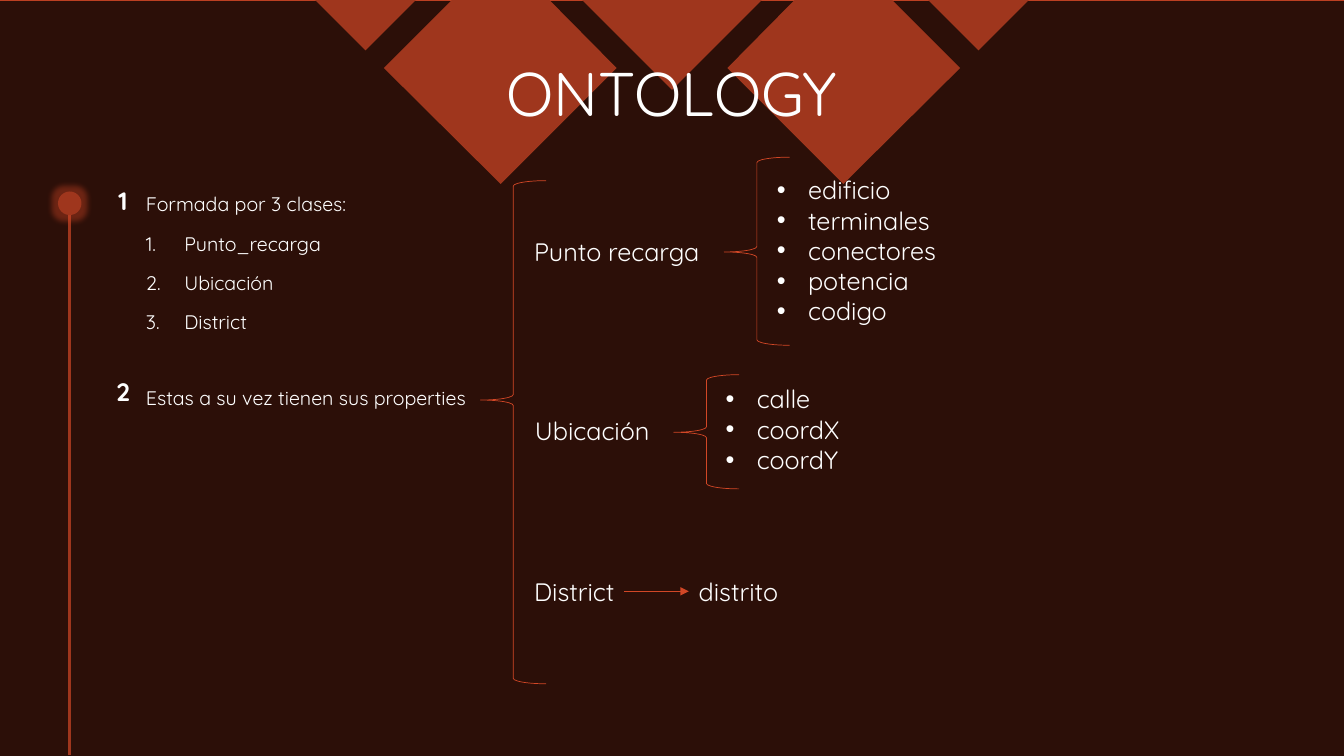
"""Build the ontology slide: three classes and their properties linked by braces."""
from dataclasses import dataclass

from lxml import etree
from pptx import Presentation
from pptx import util as u
from pptx.dml.color import RGBColor
from pptx.enum import shapes, text
from pptx.oxml import ns

COLUMNS, ROWS = 160, 90


@dataclass(frozen=True)
class Theme:
    font: str = "Quicksand"
    bullet_font: str = "Arial"
    background: str = "D24726"
    overlay: str = "000000"
    overlay_alpha: int = 79
    accent: str = "9F361D"
    line: str = "D24726"
    text: str = "FFFFFF"
    title_size: int = 44
    label_size: int = 18
    body_size: int = 14
    thin_line: float = 0.5
    thick_line: float = 2.25
    glow_radius: int = 8
    glow_alpha: int = 40


@dataclass(frozen=True)
class Box:
    left: float
    top: float
    width: float
    height: float


@dataclass(frozen=True)
class Brace:
    box: Box
    point: float


@dataclass(frozen=True)
class Label:
    content: str
    box: Box
    bold: bool = False
    wrap: bool = True


@dataclass(frozen=True)
class PropertyList:
    box: Box
    names: tuple[str, ...]


THEME = Theme()
CENTRE_TRIANGLE = [(69.3, 0), (90.7, 0), (80, 10.7)]
RIGHT_POLYGONS = [
    [(94.6, 0), (106.2, 0), (114.3, 8.1), (100.4, 21.9), (86.6, 8.1)],
    [(110.5, 0), (122.5, 0), (116.5, 6)],
]
STEP_NUMBERS = [
    Label("1", Box(11, 21.5, 7.3, 4.8), bold=True),
    Label("2", Box(11, 44.2, 7.3, 4.8), bold=True),
]
CLASS_LABELS = [
    Label("Punto recarga", Box(62.4, 27.5, 23.6, 4.8), wrap=False),
    Label("Ubicación", Box(62.5, 48.8, 19.9, 4.8)),
    Label("District", Box(62.4, 68, 20.8, 4.8)),
]
DISTRICT_PROPERTY = Label("distrito", Box(82, 68, 18.6, 4.8))
PROPERTY_LISTS = [
    PropertyList(Box(91.3, 20.2, 23, 19.4),
                 ("edificio", "terminales", "conectores", "potencia", "codigo")),
    PropertyList(Box(85.2, 45.1, 18.8, 12.1), ("calle", "coordX", "coordY")),
]
BRACES = [
    Brace(Box(57.2, 21.5, 7.8, 59.9), 0.564),
    Brace(Box(86.2, 18.7, 7.8, 22.4), 0.496),
    Brace(Box(80.2, 44.6, 7.8, 13.6), 0.496),
]

presentation = Presentation()
presentation.slide_width = u.Inches(13.33)
presentation.slide_height = u.Inches(7.5)
slide = presentation.slides.add_slide(presentation.slide_layouts[6])


def x(columns: float) -> int:
    return round(presentation.slide_width * columns / COLUMNS)


def y(rows: float) -> int:
    return round(presentation.slide_height * rows / ROWS)


def place(box: Box) -> tuple[int, int, int, int]:
    return x(box.left), y(box.top), x(box.width), y(box.height)


def add_node(parent, tag: str, **attributes: str):
    return etree.SubElement(parent, ns.qn(tag), attributes)


def paint(shape, color: str) -> None:
    shape.shadow.inherit = False
    shape.fill.solid()
    shape.fill.fore_color.rgb = RGBColor.from_string(color)
    shape.line.fill.background()


def add_polygon(points: list[tuple[float, float]]) -> None:
    corners = [(x(column), y(row)) for column, row in points]
    builder = slide.shapes.build_freeform(*corners[0])
    builder.add_line_segments(corners[1:], close=True)
    paint(builder.convert_to_shape(), THEME.accent)


def add_line(start: tuple[float, float], end: tuple[float, float], color: str, width: float):
    connector = slide.shapes.add_connector(
        shapes.MSO_CONNECTOR.STRAIGHT, x(start[0]), y(start[1]), x(end[0]), y(end[1]))
    connector.line.color.rgb = RGBColor.from_string(color)
    connector.line.width = u.Pt(width)
    add_node(connector.element.spPr, "a:effectLst")
    return connector


def add_brace(brace: Brace) -> None:
    shape = slide.shapes.add_shape(shapes.MSO_SHAPE.RIGHT_BRACE, *place(brace.box))
    shape.shadow.inherit = False
    shape.rotation = 180
    shape.adjustments[0] = 0.083
    shape.adjustments[1] = brace.point
    shape.fill.background()
    shape.line.color.rgb = RGBColor.from_string(THEME.line)
    shape.line.width = u.Pt(THEME.thin_line)


def add_bullet(paragraph, kind: str, indent: float) -> None:
    properties = paragraph._p.get_or_add_pPr()
    properties.set("marL", str(u.Inches(indent)))
    properties.set("indent", str(-u.Inches(indent)))
    if kind == "number":
        add_node(properties, "a:buFont", typeface="+mj-lt")
        add_node(properties, "a:buAutoNum", type="arabicPeriod")
    else:
        add_node(properties, "a:buFont", typeface=THEME.bullet_font)
        add_node(properties, "a:buChar", char=kind)


def add_text(lines: tuple[str, ...], box: Box, *, size: int = THEME.label_size,
             bold: bool = False, wrap: bool = True, centred: bool = False,
             middle: bool = False, spacing: float | None = None, before: float = 0,
             after: float = 0, bullet: str = "", indent: float = 0, first_bullet: int = 0):
    shape = slide.shapes.add_textbox(*place(box))
    frame = shape.text_frame
    frame.word_wrap = wrap
    frame.vertical_anchor = text.MSO_ANCHOR.MIDDLE if middle else text.MSO_ANCHOR.TOP
    for index, line in enumerate(lines):
        paragraph = frame.add_paragraph() if index else frame.paragraphs[0]
        paragraph.alignment = text.PP_ALIGN.CENTER if centred else text.PP_ALIGN.LEFT
        paragraph.line_spacing = spacing
        paragraph.space_before = u.Pt(before)
        paragraph.space_after = u.Pt(after)
        if bullet and index >= first_bullet:
            add_bullet(paragraph, bullet, indent)
        run = paragraph.add_run()
        run.text = line
        run.font.name = THEME.font
        run.font.size = u.Pt(size)
        run.font.bold = bold
        run.font.color.rgb = RGBColor.from_string(THEME.text)
    return shape


def add_label(label: Label, centred: bool = False):
    return add_text((label.content,), label.box, bold=label.bold, wrap=label.wrap,
                    centred=centred)


def draw_backdrop() -> None:
    slide.background.fill.solid()
    slide.background.fill.fore_color.rgb = RGBColor.from_string(THEME.background)
    overlay = slide.shapes.add_shape(
        shapes.MSO_SHAPE.RECTANGLE, *place(Box(0, 0.1, COLUMNS, ROWS - 0.1)))
    paint(overlay, THEME.overlay)
    color = overlay.element.spPr.find(".//" + ns.qn("a:srgbClr"))
    add_node(color, "a:alpha", val=str(THEME.overlay_alpha * 1000))
    add_polygon(CENTRE_TRIANGLE)
    for points in RIGHT_POLYGONS:
        add_polygon(points)
        add_polygon([(COLUMNS - column, row) for column, row in points])


def draw_timeline() -> None:
    add_line((8.3, 24.7), (8.3, 89.9), THEME.accent, THEME.thick_line)
    dot = slide.shapes.add_shape(shapes.MSO_SHAPE.OVAL, *place(Box(6.9, 22.8, 2.8, 2.8)))
    paint(dot, THEME.accent)
    effects = dot.element.spPr.find(ns.qn("a:effectLst"))
    glow = add_node(effects, "a:glow", rad=str(u.Pt(THEME.glow_radius)))
    color = add_node(glow, "a:srgbClr", val=THEME.line)
    add_node(color, "a:alpha", val=str(THEME.glow_alpha * 1000))


def draw_content() -> None:
    for number in STEP_NUMBERS:
        add_label(number, centred=True)
    add_text(("Formada por 3 clases:", "Punto_recarga", "Ubicación", "District"),
             Box(16.2, 22.1, 55.1, 23.3), size=THEME.body_size, spacing=u.Pt(18),
             before=10, bullet="number", indent=0.38, first_bullet=1)
    add_text(("Estas a su vez tienen sus properties",), Box(16.2, 45.2, 53.2, 19.1),
             size=THEME.body_size, spacing=u.Pt(18), before=10, after=20)
    add_text(("ONTOLOGY",), Box(0, 2.6, COLUMNS, 17.8), size=THEME.title_size,
             centred=True, middle=True, spacing=0.9)
    for brace in BRACES:
        add_brace(brace)
    for label in CLASS_LABELS:
        add_label(label)
    for properties in PROPERTY_LISTS:
        add_text(properties.names, properties.box, bullet="•", indent=0.31)
    district_property = add_label(DISTRICT_PROPERTY)
    arrow = add_line((74.3, 70.4), (82, 70.4), THEME.line, THEME.thin_line)
    arrow.end_connect(district_property, 1)
    add_node(arrow.line._get_or_add_ln(), "a:tailEnd", type="triangle")


def main() -> None:
    draw_backdrop()
    draw_timeline()
    draw_content()
    presentation.save("out.pptx")


if __name__ == "__main__":
    main()
